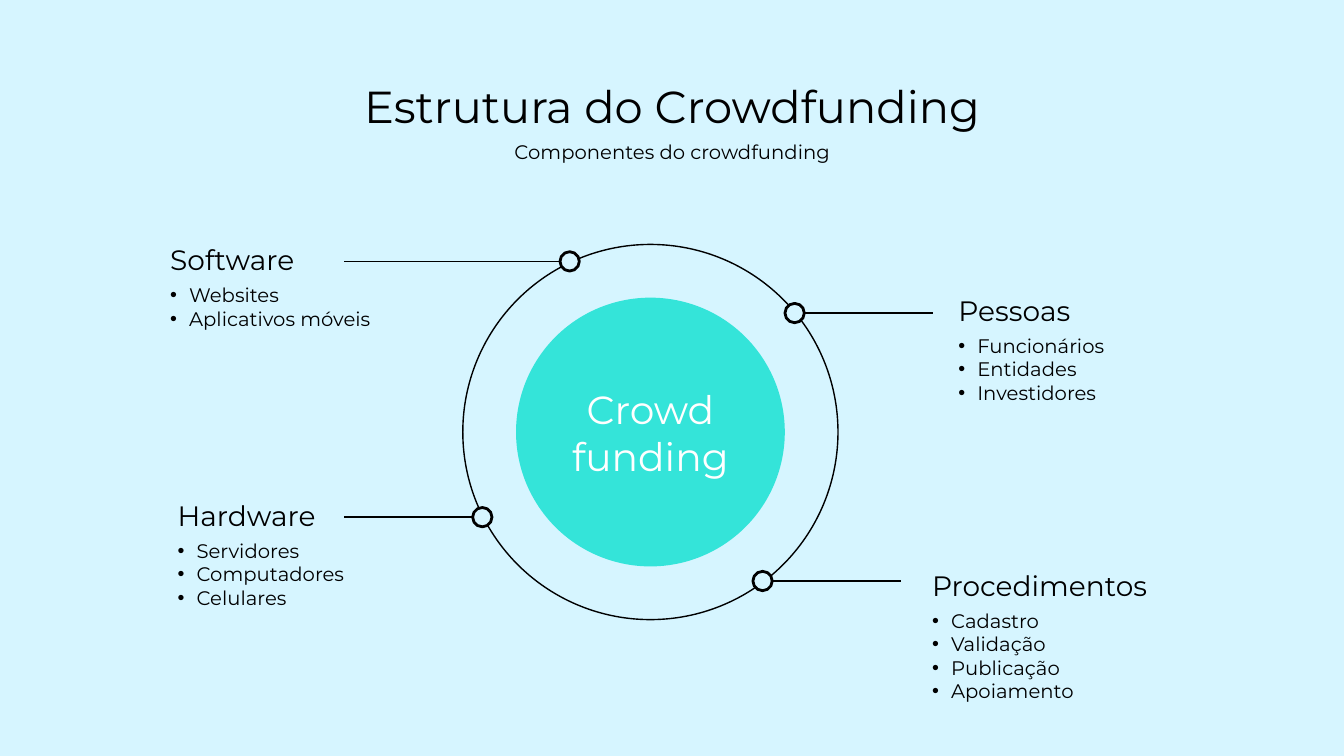
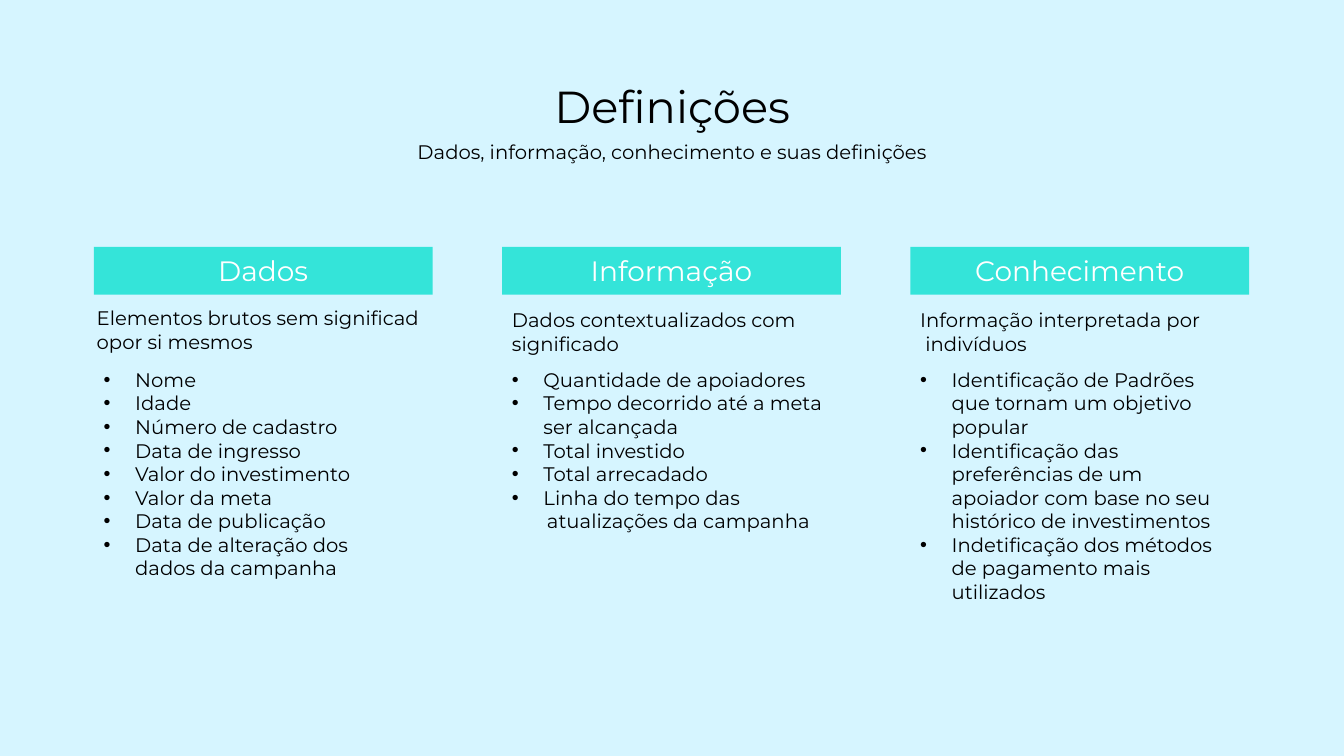
from lxml import etree
from pptx import Presentation
from pptx.dml.color import RGBColor
from pptx.enum import shapes, text
from pptx.oxml import ns
from pptx.util import Pt

BLACK = RGBColor(0x00, 0x00, 0x00)
WHITE = RGBColor(0xFF, 0xFF, 0xFF)
SKY = RGBColor(0xD6, 0xF5, 0xFF)
TURQUOISE = RGBColor(0x34, 0xE4, 0xD9)

FONT = "Montserrat"
TITLE_SIZE, CIRCLE_SIZE, HEADING_SIZE, BODY_SIZE = 32, 28, 20, 14
CENTER = text.PP_ALIGN.CENTER


class Deck:
    """Holds the shared style and the slide being drawn."""

    def __init__(self):
        self.presentation = Presentation()
        self.presentation.slide_width = Pt(960)
        self.presentation.slide_height = Pt(540)
        self.slide = None

    def new_slide(self, title, subtitle):
        blank = self.presentation.slide_layouts[6]
        self.slide = self.presentation.slides.add_slide(blank)
        fill = self.slide.background.fill
        fill.solid()
        fill.fore_color.rgb = SKY
        self.text(196, 52.5, 568.5, 46, [title], TITLE_SIZE, CENTER)
        self.text(196, 96.5, 568.5, 24.5, [subtitle], BODY_SIZE, CENTER)

    def add_run(self, paragraph, words, size, color=BLACK):
        run = paragraph.add_run()
        run.text = words
        run.font.name = FONT
        run.font.size = Pt(size)
        run.font.color.rgb = color

    def text(self, left, top, width, height, lines, size, align=None):
        """One paragraph, with a line break between the given lines."""
        frame = self.text_frame(left, top, width, height)
        paragraph = frame.paragraphs[0]
        paragraph.alignment = align
        for number, line in enumerate(lines):
            if number:
                paragraph.add_line_break()
            self.add_run(paragraph, line, size)

    def text_frame(self, left, top, width, height):
        box = self.slide.shapes.add_textbox(Pt(left), Pt(top), Pt(width), Pt(height))
        box.text_frame.word_wrap = True
        return box.text_frame

    def bullets(self, left, top, width, height, items, hanging):
        frame = self.text_frame(left, top, width, height)
        for number, item in enumerate(items):
            paragraph = frame.add_paragraph() if number else frame.paragraphs[0]
            self.add_run(paragraph, item, BODY_SIZE)
            properties = paragraph._p.get_or_add_pPr()
            properties.set("marL", str(Pt(hanging)))
            properties.set("indent", str(-Pt(hanging)))
            color = etree.SubElement(properties, ns.qn("a:buClr"))
            etree.SubElement(color, ns.qn("a:srgbClr"), val=str(BLACK))
            etree.SubElement(properties, ns.qn("a:buFont"), typeface="Arial")
            etree.SubElement(properties, ns.qn("a:buChar"), char="•")
        return frame

    def shape(self, kind, left, top, width, height, fill=None, line_width=0):
        shape = self.slide.shapes.add_shape(kind, Pt(left), Pt(top), Pt(width), Pt(height))
        shape.shadow.inherit = False
        if fill is None:
            shape.fill.background()
        else:
            shape.fill.solid()
            shape.fill.fore_color.rgb = fill
        if line_width:
            shape.line.color.rgb = BLACK
            shape.line.width = Pt(line_width)
        else:
            shape.line.fill.background()
        return shape

    def circle(self, x, y, radius, fill=None, line_width=0):
        return self.shape(shapes.MSO_SHAPE.OVAL, x - radius, y - radius,
                          2 * radius, 2 * radius, fill, line_width)

    def label(self, shape, words, size):
        frame = shape.text_frame
        frame.word_wrap = True
        frame.vertical_anchor = text.MSO_ANCHOR.MIDDLE
        paragraph = frame.paragraphs[0]
        paragraph.alignment = CENTER
        self.add_run(paragraph, words, size, WHITE)

    def horizontal_line(self, start, end, y):
        line = self.slide.shapes.add_connector(
            shapes.MSO_CONNECTOR.STRAIGHT, Pt(start), Pt(y), Pt(end), Pt(y))
        line.line.color.rgb = BLACK
        line.line.width = Pt(1)
        etree.SubElement(line._element.spPr, ns.qn("a:effectLst"))


def structure_slide(deck):
    deck.new_slide("Estrutura do Crowdfunding", "Componentes do crowdfunding")

    # Central disc and its orbit
    center_x, center_y = 464.6, 308.6
    disc = deck.circle(center_x, center_y, 96, TURQUOISE)
    deck.label(disc, "Crowd funding", CIRCLE_SIZE)
    deck.circle(center_x, center_y, 134, line_width=1)

    # Components: marker centre, line end, heading corner, heading, items
    components = [
        (567.6, 223.6, 666.6, 677.5, 206, "Pessoas",
         ["Funcionários", "Entidades", "Investidores"]),
        (544.7, 415, 643.6, 658.8, 402.5, "Procedimentos",
         ["Cadastro", "Validação", "Publicação", "Apoiamento"]),
        (406.9, 186.7, 245.7, 114.5, 170, "Software",
         ["Websites", "Aplicativos móveis"]),
        (344.5, 369.4, 245.7, 119.8, 352.3, "Hardware",
         ["Servidores", "Computadores", "Celulares"]),
    ]
    radius = 6.9
    for x, y, line_end, left, top, heading, items in components:
        deck.circle(x, y, radius, SKY, line_width=2)
        edge = x + radius if line_end > x else x - radius
        deck.horizontal_line(edge, line_end, y)
        deck.text(left, top, 245, 31.5, [heading], HEADING_SIZE)
        deck.bullets(left, top + 28.8, 245, 75, items, hanging=13.5)


def definitions_slide(deck):
    deck.new_slide("Definições", "Dados, informação, conhecimento e suas definições")

    # Columns: heading, definition, its offset, list width, items
    columns = [
        ("Dados", ["Elementos brutos sem significad", "opor si mesmos"], (-5, -1.4), 216,
         ["Nome", "Idade", "Número de cadastro", "Data de ingresso",
          "Valor do investimento", "Valor da meta", "Data de publicação",
          "Data de alteração dos dados da campanha"]),
        ("Informação", ["Dados contextualizados com", "significado"], (0, 0), 251,
         ["Quantidade de apoiadores", "Tempo decorrido até a meta ser alcançada",
          "Total investido", "Total arrecadado", "Linha do tempo das"]),
        ("Conhecimento", ["Informação interpretada por", " indivíduos"], (0, 0), 224,
         ["Identificação de Padrões que tornam um objetivo popular",
          "Identificação das preferências de um apoiador com base no seu "
          "histórico de investimentos",
          "Indetificação dos métodos de pagamento mais utilizados"]),
    ]
    lists = {}
    for number, (heading, definition, (dx, dy), width, items) in enumerate(columns):
        left = 67 + number * 291.6
        bar = deck.shape(shapes.MSO_SHAPE.RECTANGLE, left, 176.4, 242, 34, TURQUOISE)
        deck.label(bar, heading, HEADING_SIZE)
        deck.text(left + dx, 216.7 + dy, 252, 42, definition, BODY_SIZE)
        lists[heading] = deck.bullets(left, 259.2, width, 160, items, hanging=22.5)

    # Unbulleted last line of the middle list
    paragraph = lists["Informação"].add_paragraph()
    paragraph._p.get_or_add_pPr().set("marL", str(Pt(25)))
    deck.add_run(paragraph, "atualizações da campanha", BODY_SIZE)


def main():
    deck = Deck()
    structure_slide(deck)
    definitions_slide(deck)
    deck.presentation.save("out.pptx")


if __name__ == "__main__":
    main()
